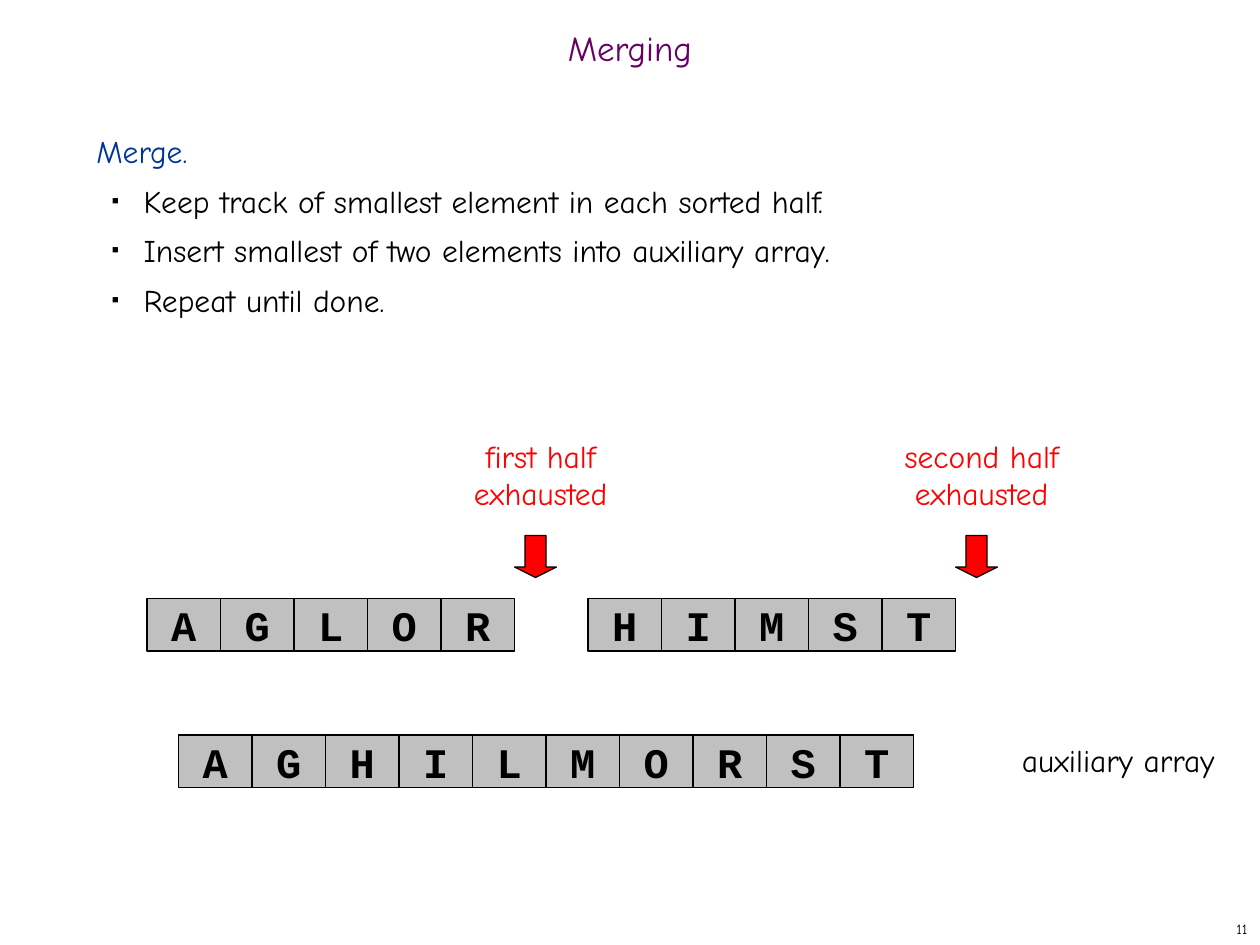
from dataclasses import dataclass

from lxml.etree import SubElement
from pptx import Presentation
from pptx.dml.color import RGBColor as RGB
from pptx.enum.shapes import MSO_SHAPE as Preset
from pptx.enum.text import MSO_ANCHOR as Anchor, PP_ALIGN as Align
from pptx.oxml.ns import qn
from pptx.util import Pt


@dataclass(frozen=True)
class Theme:
    ink: str = "000000"
    title: str = "660066"
    heading: str = "003399"
    alert: str = "FF0000"
    cell: str = "C0C0C0"
    body_font: str = "Comic Neue"
    letter_font: str = "Courier New"
    title_size: int = 20
    body_size: int = 18
    letter_size: int = 24
    number_size: int = 8
    outline: float = 0.75


THEME = Theme()
CELL_WIDTH, CELL_HEIGHT = 42, 30
ARROW_SIZE = 24
CAPTION_WIDTH = 150


def write(paragraph, text, *, size=THEME.body_size, color=THEME.ink,
          font=THEME.body_font, bold=False, align=Align.LEFT,
          before=0, line_spacing=None):
    """Fill one paragraph; a newline in the text becomes a line break."""
    paragraph.text = text
    paragraph.alignment = align
    paragraph.space_before = Pt(before)
    if line_spacing:
        paragraph.line_spacing = line_spacing
    for run in paragraph.runs:
        run.font.name = font
        run.font.size = Pt(size)
        run.font.bold = bold
        run.font.color.rgb = RGB.from_string(color)


def add_bullet(paragraph, color):
    properties = paragraph._p.get_or_add_pPr()
    properties.set("marL", str(Pt(27)))
    properties.set("indent", str(Pt(-18)))
    bullet_color = SubElement(properties, qn("a:buClr"))
    SubElement(bullet_color, qn("a:srgbClr"), val=color)
    SubElement(properties, qn("a:buSzPct"), val="35000")
    SubElement(properties, qn("a:buFont"), typeface="Arial")
    SubElement(properties, qn("a:buChar"), char="■")


class MergeSlide:
    def __init__(self, slide, theme):
        self.slide = slide
        self.theme = theme

    def text_box(self, left, top, width, height, anchor=Anchor.TOP):
        """Add a wrapping text box and return its frame."""
        box = self.slide.shapes.add_textbox(Pt(left), Pt(top), Pt(width), Pt(height))
        frame = box.text_frame
        frame.word_wrap = True
        frame.vertical_anchor = anchor
        return frame

    def label(self, text, left, top, width, height, anchor=Anchor.TOP, **style):
        frame = self.text_box(left, top, width, height, anchor)
        write(frame.paragraphs[0], text, **style)

    def bullet_list(self, heading, items, left, top, width, height):
        frame = self.text_box(left, top, width, height)
        write(frame.paragraphs[0], heading, color=self.theme.heading, before=4.5)
        for item in items:
            paragraph = frame.add_paragraph()
            write(paragraph, item, before=4.5, line_spacing=1.1)
            add_bullet(paragraph, self.theme.ink)

    def block(self, parent, preset, left, top, width, height, fill):
        """Add an outlined preset shape without shadow."""
        shape = parent.add_shape(preset, Pt(left), Pt(top), Pt(width), Pt(height))
        shape.shadow.inherit = False
        shape.fill.solid()
        shape.fill.fore_color.rgb = RGB.from_string(fill)
        shape.line.color.rgb = RGB.from_string(self.theme.ink)
        shape.line.width = Pt(self.theme.outline)
        return shape

    def array(self, letters, left, top, grouped=False):
        shapes = self.slide.shapes
        parent = shapes.add_group_shape().shapes if grouped else shapes
        for index, letter in enumerate(letters):
            cell = self.block(parent, Preset.RECTANGLE, left + index * CELL_WIDTH, top,
                              CELL_WIDTH, CELL_HEIGHT, self.theme.cell)
            frame = cell.text_frame
            frame.word_wrap = False
            frame.vertical_anchor = Anchor.MIDDLE
            write(frame.paragraphs[0], letter, size=self.theme.letter_size,
                  font=self.theme.letter_font, bold=True, align=Align.CENTER)

    def exhausted_marker(self, caption, left):
        """Point down at the end of a half that has no elements left."""
        self.label(caption, left - 60, 246, CAPTION_WIDTH, 50.4,
                   color=self.theme.alert, align=Align.CENTER, before=11.2)
        arrow = self.block(self.slide.shapes, Preset.DOWN_ARROW, left, 306,
                           ARROW_SIZE, ARROW_SIZE, self.theme.alert)
        arrow.adjustments[0] = 0.5
        arrow.adjustments[1] = 0.25


def main():
    deck = Presentation()
    deck.slide_width, deck.slide_height = Pt(720), Pt(540)
    page = MergeSlide(deck.slides.add_slide(deck.slide_layouts[6]), THEME)

    page.label("Merging", 0, 12, 720, 36, Anchor.MIDDLE, size=THEME.title_size,
               color=THEME.title, align=Align.CENTER, line_spacing=0.7)
    page.bullet_list("Merge.", [
        "Keep track of smallest element in each sorted half.",
        "Insert smallest of two elements into auxiliary array.",
        "Repeat until done.",
    ], 48, 72, 618, 426)

    halves = [("first half\nexhausted", "AGLOR", 84),
              ("second half\nexhausted", "HIMST", 336)]
    for caption, letters, left in halves:
        page.exhausted_marker(caption, left + len(letters) * CELL_WIDTH)
        page.array(letters, left, 342, grouped=True)

    merged = sorted("".join(letters for _, letters, _ in halves))
    page.array(merged, 102, 420)
    page.label("auxiliary array", 570, 420, 138, 29,
               align=Align.CENTER, before=11.2)
    page.label("11", 570, 522, 150, 18, Anchor.MIDDLE,
               size=THEME.number_size, align=Align.RIGHT)

    deck.save("out.pptx")


if __name__ == "__main__":
    main()
